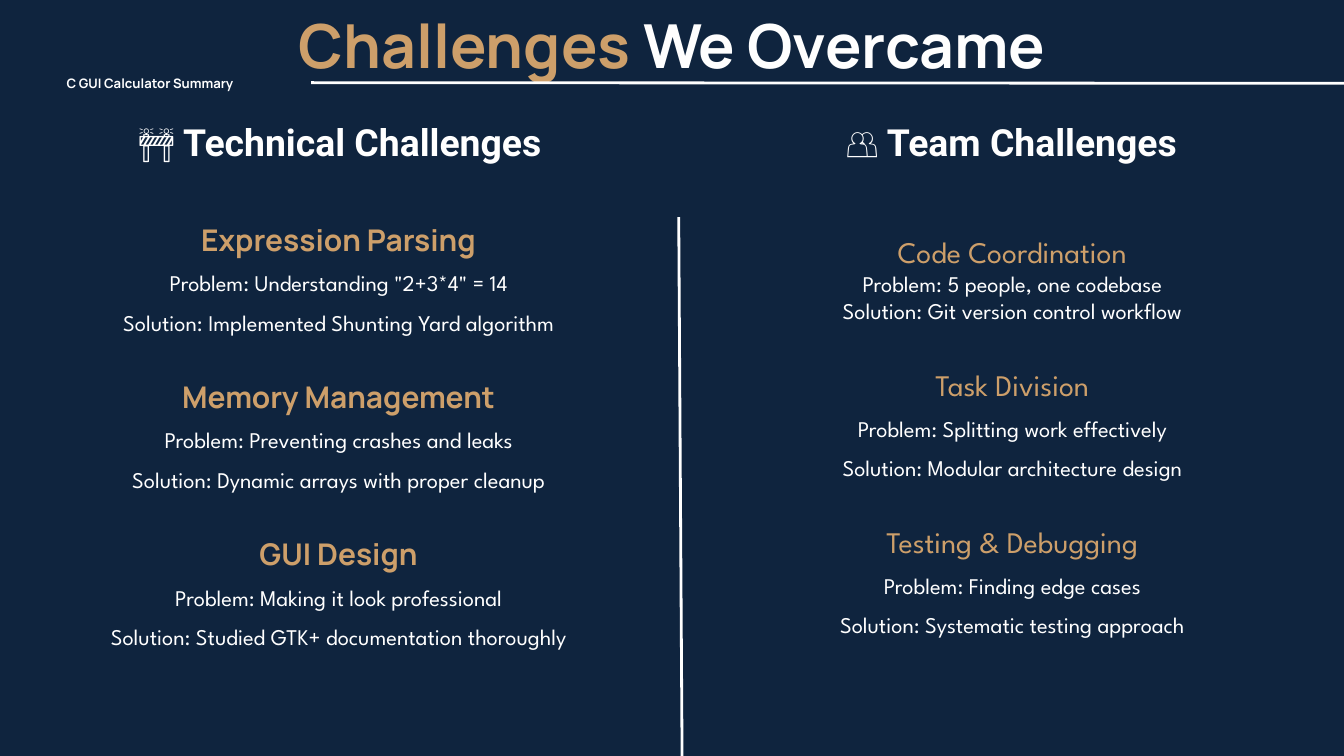
from pptx import Presentation
from pptx.dml.color import RGBColor
from pptx.enum.shapes import MSO_CONNECTOR
from pptx.enum.text import MSO_ANCHOR, MSO_AUTO_SIZE, PP_ALIGN
from pptx.oxml.ns import qn
from pptx.util import Inches, Pt

COLORS = {"navy": "0F243E", "gold": "CD9F6A", "white": "FFFFFF", "soft": "FEFEFE"}

# Content
TITLE = [("Challenges ", "gold"), ("We Overcame", "soft")]
TAG = "C GUI Calculator Summary"
LINE = 42.1  # usual line pitch in points
TIGHT = 29.4

# heading, problem, solution, pitch of the two detail lines
TECHNICAL = [
    ("Expression Parsing", 'Problem: Understanding "2+3*4" = 14',
     "Solution: Implemented Shunting Yard algorithm", LINE),
    ("Memory Management", "Problem: Preventing crashes and leaks",
     "Solution: Dynamic arrays with proper cleanup", LINE),
    ("GUI Design", "Problem: Making it look professional",
     "Solution: Studied GTK+ documentation thoroughly", LINE),
]
TEAM = [
    ("Code Coordination", "Problem: 5 people, one codebase",
     "Solution: Git version control workflow", TIGHT),
    ("Task Division", "Problem: Splitting work effectively",
     "Solution: Modular architecture design", LINE),
    ("Testing & Debugging", "Problem: Finding edge cases",
     "Solution: Systematic testing approach", LINE),
]
COLUMNS = [
    {"heading": "🚧 Technical Challenges", "color": "white", "topics": TECHNICAL,
     "topic_font": "Manrope", "topic_bold": True, "ids": (1, 2),
     "heading_box": (-0.03, 1.76, 10.17, 0.66), "topics_box": (-0.04, 3.24, 10.16, 6.43)},
    {"heading": "👥 Team Challenges", "color": "soft", "topics": TEAM,
     "topic_font": "League Spartan", "topic_bold": False, "ids": (3, 4),
     "heading_box": (10.13, 1.76, 9.84, 0.66), "topics_box": (10.13, 3.42, 9.87, 6.09)},
]
RULES = [(4.63, 1.23, 20, 1.24), (10.1, 3.23, 10.15, 11.25)]


def rgb(name):
    return RGBColor.from_string(COLORS[name])


def place(shape, box):
    shape.left, shape.top, shape.width, shape.height = map(Inches, box)
    frame = shape.text_frame
    frame.margin_left = frame.margin_top = frame.margin_right = frame.margin_bottom = 0
    frame.word_wrap = True
    frame.auto_size = MSO_AUTO_SIZE.NONE
    frame.vertical_anchor = MSO_ANCHOR.TOP
    return frame


def style_run(run, font, size, color, bold):
    run.font.name, run.font.size, run.font.bold = font, Pt(size), bold
    run.font.color.rgb = rgb(color)


def style_paragraph(paragraph, pitch, before=0, align=PP_ALIGN.CENTER):
    props = paragraph._p.get_or_add_pPr()
    props.set("marL", "0")
    props.set("indent", "0")
    props.append(props.makeelement(qn("a:buNone"), {}))
    paragraph.alignment = align
    paragraph.line_spacing = Pt(pitch)
    paragraph.space_before = Pt(before)
    paragraph.space_after = Pt(0)


def write(paragraph, text, font, size, color, bold, pitch, **spacing):
    paragraph.text = text
    style_paragraph(paragraph, pitch, **spacing)
    style_run(paragraph.runs[0], font, size, color, bold)


def fill_topics(frame, column):
    first = True
    for topic, problem, solution, pitch in column["topics"]:
        paragraph = frame.paragraphs[0] if first else frame.add_paragraph()
        write(paragraph, topic, column["topic_font"], 32, "gold", column["topic_bold"],
              LINE, before=0 if first else LINE)
        for detail in (problem, solution):
            write(frame.add_paragraph(), detail, "League Spartan", 24, "white", False, pitch)
        first = False


def main():
    prs = Presentation()
    prs.slide_width, prs.slide_height = Inches(20), Inches(11.25)
    slide = prs.slides.add_slide(prs.slide_layouts[4])  # Comparison
    slide.background.fill.solid()
    slide.background.fill.fore_color.rgb = rgb("navy")

    # Title in two colours
    title = place(slide.shapes.title, (-0.01, -0.07, 20.02, 1.22)).paragraphs[0]
    style_paragraph(title, 91)
    for words, color in TITLE:
        run = title.add_run()
        run.text = words
        style_run(run, "Manrope", 65, color, True)

    # Two columns of challenges
    holders = {holder.placeholder_format.idx: holder for holder in slide.placeholders}
    for column in COLUMNS:
        heading_id, topics_id = column["ids"]
        heading = place(holders[heading_id], column["heading_box"])
        write(heading.paragraphs[0], column["heading"], "Roboto", 40, column["color"], True, 49)
        fill_topics(place(holders[topics_id], column["topics_box"]), column)

    # Title rule and column divider
    for ends in RULES:
        rule = slide.shapes.add_connector(MSO_CONNECTOR.STRAIGHT, *map(Inches, ends))
        rule.line.color.rgb = rgb("white")
        rule.line.width = Pt(3)
        props = rule._element.spPr
        props.append(props.makeelement(qn("a:effectLst"), {}))

    # Project tag
    tag = place(slide.shapes.add_textbox(0, 0, 0, 0), (0.99, 1.08, 3.39, 0.27))
    write(tag.paragraphs[0], TAG, "Manrope", 14, "white", True, 19.6, align=PP_ALIGN.LEFT)

    prs.save("out.pptx")


if __name__ == "__main__":
    main()
